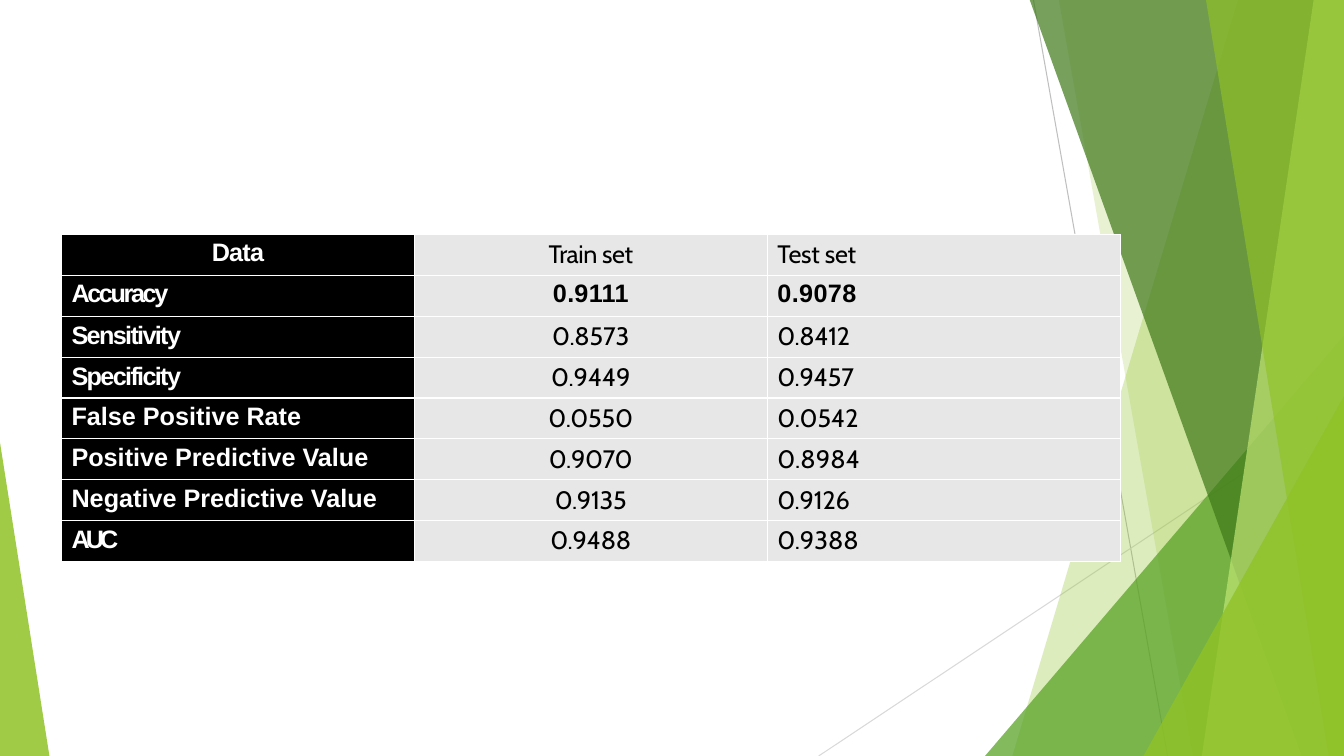
from lxml import etree
from pptx import Presentation
from pptx.dml.color import RGBColor
from pptx.enum.shapes import MSO_CONNECTOR, MSO_SHAPE
from pptx.enum.text import PP_ALIGN
from pptx.oxml.ns import qn
from pptx.util import Inches, Pt

COLORS = {
    "white": "FFFFFF", "black": "000000", "cell": "E7E7E7",
    "gray": "BFBFBF", "light gray": "D9D9D9",
    "lime": "90C226", "green": "54A021", "dark green": "3F7819", "pale lime": "C0E474",
}


def rgb(name):
    return RGBColor.from_string(COLORS[name])


def paint(facet, color, opacity):
    facet.shadow.inherit = False
    facet.line.fill.background()
    facet.fill.solid()
    facet.fill.fore_color.rgb = rgb(color)
    tone = facet.fill._xPr.find(qn("a:solidFill"))[0]
    etree.SubElement(tone, qn("a:alpha")).set("val", str(opacity * 1000))


prs = Presentation()
prs.slide_width, prs.slide_height = Inches(13.33), Inches(7.5)
slide = prs.slides.add_slide(prs.slide_layouts[6])
shapes = slide.shapes

# Thin lines behind the facets
for x1, y1, x2, y2, color in [
    (10.25, 0, 11.58, 7.5, "gray"),
    (13.33, 4.03, 8.12, 7.5, "light gray"),
]:
    ray = shapes.add_connector(
        MSO_CONNECTOR.STRAIGHT, Inches(x1), Inches(y1), Inches(x2), Inches(y2))
    ray.line.color.rgb = rgb(color)
    ray.line.width = Pt(0.75)
    etree.SubElement(ray._element.spPr, qn("a:effectLst"))

# Green facets, back to front: a band has its top and bottom left corners,
# a triangle its box and the position of its apex
facets = [
    ("band", (12.28, 10.04), "lime", 30),
    ("band", (10.5, 11.83), "lime", 20),
    ("triangle", (9.77, 3.33, 3.56, 4.17, 1), "green", 72),
    ("band", (10.21, 12.91), "dark green", 70),
    ("band", (13.03, 11.92), "pale lime", 70),
    ("band", (11.96, 13.18), "lime", 65),
    ("triangle", (11.34, 3.93, 1.99, 3.57, 1), "lime", 80),
    ("triangle", (0, 4.39, 0.49, 3.11, 0), "lime", 85),
]
for kind, geometry, color, opacity in facets:
    if kind == "band":
        top_left, bottom_left = geometry
        outline = shapes.build_freeform(Inches(top_left), Inches(-0.01))
        corners = [(13.33, -0.01), (13.33, 7.5), (bottom_left, 7.5)]
        outline.add_line_segments([(Inches(x), Inches(y)) for x, y in corners])
        facet = outline.convert_to_shape()
    else:
        *box, apex = geometry
        facet = shapes.add_shape(MSO_SHAPE.ISOSCELES_TRIANGLE, *map(Inches, box))
        facet.adjustments[0] = apex
    paint(facet, color, opacity)

# Results table: each cell is its text and its letter spacing in points
results = [
    [("Data", -0.6), ("Train set", -0.3), ("Test set", -0.2)],
    [("Accuracy", -1.7), ("0.9111", 0.2), ("0.9078", 0.3)],
    [("Sensitivity", -1.2), ("0.8573", -0.1), ("0.8412", -0.2)],
    [("Specificity", -1.2), ("0.9449", 0), ("0.9457", -0.1)],
    [("False Positive Rate", 0), ("0.0550", -0.1), ("0.0542", 0)],
    [("Positive Predictive Value", 0), ("0.9070", -0.2), ("0.8984", 0.1)],
    [("Negative Predictive Value", 0), ("0.9135", -0.2), ("0.9126", -0.1)],
    [("AUC", -2.8), ("0.9488", -0.1), ("0.9388", 0)],
]
label_font = {"name": "Arial", "size": Pt(18), "bold": True}
value_font = {"name": "Cabin", "size": Pt(18), "bold": False}

table = shapes.add_table(
    len(results), 3, Inches(0.61), Inches(2.33), Inches(10.5), Inches(3.24)).table
table.first_row = table.horz_banding = False

for row, entries in enumerate(results):
    for column, (text, spacing) in enumerate(entries):
        cell = table.cell(row, column)
        is_label = column == 0
        margins = {
            "margin_left": 0, "margin_right": 0, "margin_bottom": 0,
            "margin_top": Inches(0.04 if row < 2 else 0.05),
        }
        for name, value in margins.items():
            setattr(cell, name, value)

        # White borders, then the fill
        for side in ("lnL", "lnR", "lnT", "lnB"):
            border = etree.SubElement(cell._tc.get_or_add_tcPr(), qn(f"a:{side}"))
            border.set("w", str(Pt(1)))
            stroke = etree.SubElement(border, qn("a:solidFill"))
            etree.SubElement(stroke, qn("a:srgbClr")).set("val", COLORS["white"])
        cell.fill.solid()
        cell.fill.fore_color.rgb = rgb("black" if is_label else "cell")

        # Centred middle column and header label, the rest indented
        paragraph = cell.text_frame.paragraphs[0]
        paragraph.space_before = Pt(3.2 if row < 5 else 3.3)
        if column == 1 or (row == 0 and is_label):
            paragraph.alignment = PP_ALIGN.CENTER
        else:
            paragraph.alignment = PP_ALIGN.LEFT
            paragraph._p.get_or_add_pPr().set("marL", str(Inches(0.1)))

        run = paragraph.add_run()
        run.text = text
        run.font.color.rgb = rgb("white" if is_label else "black")
        for name, value in (label_font if is_label or row == 1 else value_font).items():
            setattr(run.font, name, value)
        run._r.get_or_add_rPr().set("spc", str(round(spacing * 100)))

prs.save("out.pptx")
